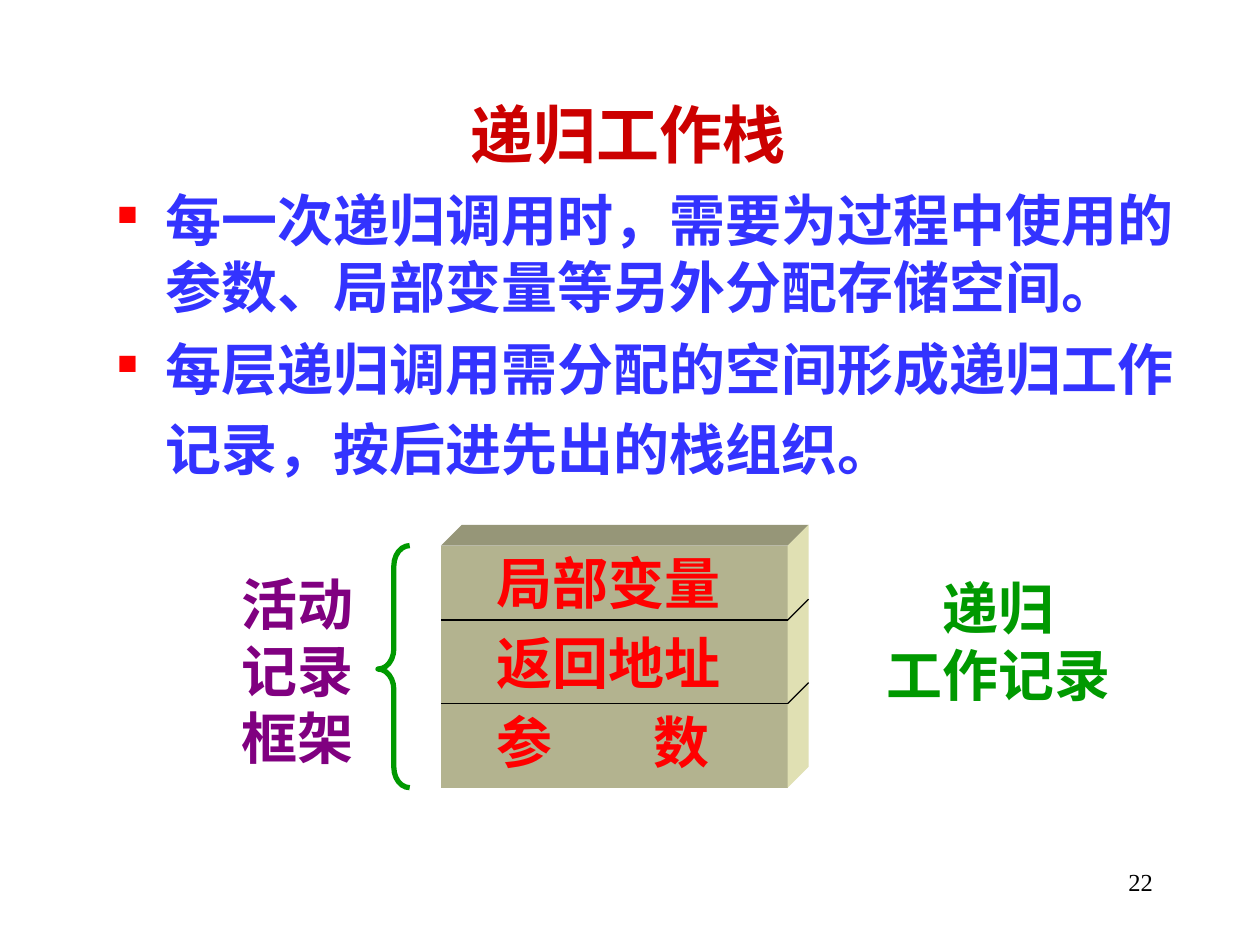
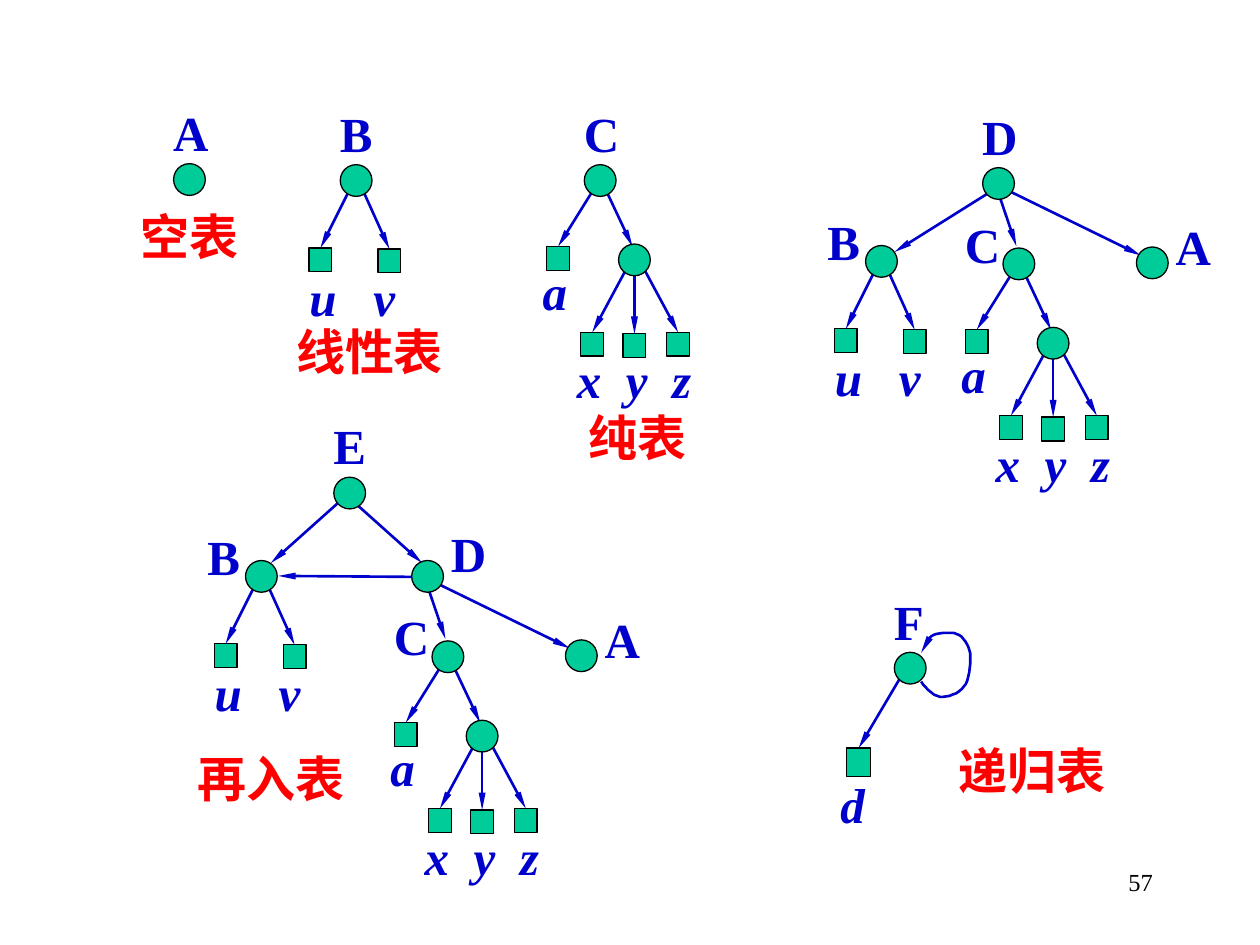
from lxml import etree
from pptx import Presentation
from pptx.dml.color import RGBColor
from pptx.enum.shapes import MSO_CONNECTOR, MSO_SHAPE
from pptx.enum.text import MSO_ANCHOR, PP_ALIGN
from pptx.oxml.ns import qn
from pptx.util import Cm, Pt

STRAIGHT = MSO_CONNECTOR.STRAIGHT
RECTANGLE, OVAL, LEFT_BRACE = MSO_SHAPE.RECTANGLE, MSO_SHAPE.OVAL, MSO_SHAPE.LEFT_BRACE
CENTER, RIGHT = PP_ALIGN.CENTER, PP_ALIGN.RIGHT
MIDDLE = MSO_ANCHOR.MIDDLE

rgb = RGBColor.from_string
FONT = "Times New Roman"
RED, BLUE, NAVY, GREEN, PURPLE = "FF0000", "3333FF", "0000CC", "009900", "800080"
TITLE_RED, MINT, BLACK = "CC0000", "00CC99", "000000"
FRONT, TOP, SIDE = "B3B38F", "969678", "E0E0B3"
PAGE_NUMBER = (18.21, 17.35, 5.28, 1.27)
UNITS_PER_CM = 100
FREEFORM_UNIT = Cm(1 / UNITS_PER_CM)


def write(shape, lines, color, size, tabs=(), layout={}, **style):
    frame = shape.text_frame
    frame.word_wrap = True
    for index, line in enumerate(lines):
        paragraph = frame.paragraphs[0] if index == 0 else frame.add_paragraph()
        if tabs:
            stops = etree.SubElement(paragraph._p.get_or_add_pPr(), qn("a:tabLst"))
            for stop in tabs:
                etree.SubElement(stops, qn("a:tab"), pos=str(Cm(stop)), algn="l")
        for key, value in layout.items():
            setattr(paragraph, key, value)
        if index == 0:
            paragraph.space_before = Pt(0)
        run = paragraph.add_run()
        run.text = line
        run.font.color.rgb = rgb(color)
        for key, value in {"name": FONT, "size": Pt(size), "bold": True, **style}.items():
            setattr(run.font, key, value)
    return frame


def dress(shape, line=None, width=0.75, fill=None, arrow=False):
    if fill:
        shape.fill.solid()
        shape.fill.fore_color.rgb = rgb(fill)
    if line:
        shape.line.color.rgb = rgb(line)
        shape.line.width = Pt(width)
    else:
        shape.line.fill.background()
    properties = shape._element.spPr
    if arrow:
        etree.SubElement(properties.find(qn("a:ln")), qn("a:tailEnd"),
                         type="triangle", w="sm", len="lg")
    etree.SubElement(properties, qn("a:effectLst"))


deck = Presentation()
deck.slide_width, deck.slide_height = Cm(25.4), Cm(19.05)
stack_slide = deck.slides.add_slide(deck.slide_layouts[5])
lists_slide = deck.slides.add_slide(deck.slide_layouts[6])
for slide, number in ((stack_slide, "22"), (lists_slide, "57")):
    box = slide.shapes.add_textbox(*map(Cm, PAGE_NUMBER))
    write(box, [number], BLACK, 14, layout={"alignment": RIGHT}, bold=False)

shapes = stack_slide.shapes
title = shapes.title
title_place = {"left": 8.51, "top": 1.73, "width": 8.28, "height": 1.9}
for key, value in title_place.items():
    setattr(title, key, Cm(value))
write(title, ["递归工作栈"], TITLE_RED, 36, layout={"alignment": CENTER}).vertical_anchor = MIDDLE

points = write(shapes.add_textbox(*map(Cm, (2.11, 3.61, 22.58, 14.4))),
               ["每一次递归调用时，需要为过程中使用的参数、局部变量等另外分配存储空间。",
                "每层递归调用需分配的空间形成递归工作记录，按后进先出的栈组织。"], BLUE, 32)
for paragraph in points.paragraphs:
    properties = paragraph._p.get_or_add_pPr()
    properties.set("marL", str(Cm(0.97)))
    properties.set("indent", str(-Cm(0.97)))
    bullet_color = etree.SubElement(properties, qn("a:buClr"))
    etree.SubElement(bullet_color, qn("a:srgbClr"), val=RED)
    etree.SubElement(properties, qn("a:buSzPct"), val="50000")
    etree.SubElement(properties, qn("a:buChar"), char="■")
points.paragraphs[1].line_spacing = 1.2
points.paragraphs[1].space_before = Pt(0.5)

left, right, top, bottom, depth = 8.89, 15.88, 11, 15.88, 0.42
block_faces = [
    (FRONT, [(left, top), (right, top), (right, bottom), (left, bottom)]),
    (TOP, [(left, top), (left + depth, top - depth), (right + depth, top - depth), (right, top)]),
    (SIDE, [(right, top), (right + depth, top - depth),
            (right + depth, bottom - depth), (right, bottom)]),
]
for color, corners in block_faces:
    corners = [(x * UNITS_PER_CM, y * UNITS_PER_CM) for x, y in corners]
    outline = shapes.build_freeform(*corners[0], scale=FREEFORM_UNIT)
    outline.add_line_segments(corners[1:], close=True)
    dress(outline.convert_to_shape(), fill=color)
for level in (12.5, 14.18):
    for start, end in (((left, level), (right, level)),
                       ((right, level), (right + depth, level - depth))):
        dress(shapes.add_connector(STRAIGHT, *map(Cm, start + end)), BLACK)

write(shapes.add_textbox(*map(Cm, (9.75, 10.8, 5.69, 5))),
      ["局部变量", "返回地址", "参\t数"], RED, 32, tabs=[3.17],
      layout={"line_spacing": 1.1, "space_before": Pt(3.2)})
brace = shapes.add_shape(LEFT_BRACE, *map(Cm, (7.62, top, 0.64, bottom - top)))
brace.adjustments[0], brace.adjustments[1] = 0.64, 0.51
brace.fill.background()
dress(brace, GREEN, 3)
write(shapes.add_textbox(*map(Cm, (4.62, 11.35, 3, 4.32))), ["活动记录框架"], PURPLE, 32)
write(shapes.add_textbox(*map(Cm, (16.97, 11.43, 6.32, 2.97))),
      ["递归", "工作记录"], GREEN, 32, layout={"alignment": CENTER})

shapes = lists_slide.shapes
ABOVE, ON_LEFT, ON_RIGHT = (-0.58, -1.68), (-1.34, -1.13), (0.22, -1.05)
UPPER_RIGHT = (0.22, -1.2)
DIAMETER = 0.64
SMALL, LARGE = (0.46, 0.48), (0.48, 0.58)

leaves = {
    "B": [(-0.11, -0.72, 1.36, SMALL), (0.11, 0.67, 1.38, SMALL)],
    "C": [(-0.11, -0.85, 1.33, SMALL)],
    "": [(-0.14, -0.85, 1.46, SMALL), (0, 0, 1.49, SMALL), (0.17, 0.88, 1.46, SMALL)],
    "F": [(-0.17, -1.04, 1.61, LARGE)],
}
leaf_names = {
    "B": ("u\tv", -1.19, 1.62, [1.29]),
    "C": ("a", -1.41, 1.51, []),
    "": ("x\ty\tz", -1.41, 1.69, [0.99, 1.92]),
    "F": ("d", -1.66, 2.02, []),
}
sublist_arrows = {
    "C": [(0.09, 0.14, 0.65, 1.33)],
    "D": [(0, 0.2, 0.36, 1.26), (0.19, 0.14, 2.87, 1.45)],
    "E": [(0.04, 0.14, 1.46, 1.41), (-0.17, 0.14, -1.59, 1.41)],
}
sublists = {
    "C": [("", 0.69, 1.6, None)],
    "D": [("C", 0.41, 1.62, ON_LEFT), ("A", 3.1, 1.6, ON_RIGHT)],
}
shared_arrows = [(19.96, 3.87, 18.03, 5.08), (8.45, 11.63, 5.61, 11.61)]
nodes = [
    ("A", 3.82, 3.62, ABOVE), ("B", 7.18, 3.64, ABOVE), ("C", 12.1, 3.64, ABOVE),
    ("D", 20.13, 3.7, ABOVE), ("B", 17.77, 5.27, ON_LEFT),
    ("E", 7.05, 9.94, ABOVE), ("B", 5.27, 11.62, ON_LEFT), ("D", 8.62, 11.62, UPPER_RIGHT),
    ("F", 18.35, 13.47, ABOVE),
]

for ends in shared_arrows:
    dress(shapes.add_connector(STRAIGHT, *map(Cm, ends)), NAVY, 1.5, arrow=True)
for name, x, y, label_shift in nodes:
    for child, dx, dy, child_shift in sublists.get(name, []):
        nodes.append((child, x + dx, y + dy, child_shift))
    for x1, y1, x2, y2 in sublist_arrows.get(name, []):
        arrow = shapes.add_connector(STRAIGHT, *map(Cm, (x + x1, y + y1, x + x2, y + y2)))
        dress(arrow, NAVY, 1.5, arrow=True)
    for start, dx, dy, (width, height) in leaves.get(name, []):
        leaf = shapes.add_shape(RECTANGLE, *map(Cm, (x + dx - width / 2, y + dy, width, height)))
        dress(leaf, BLACK, fill=MINT)
        arrow = shapes.add_connector(STRAIGHT, *map(Cm, (x + start, y + 0.14, x + dx, y + dy)))
        arrow.end_connect(leaf, 0)
        dress(arrow, NAVY, 1.5, arrow=True)
    corner = x - DIAMETER / 2, y - DIAMETER / 2
    dress(shapes.add_shape(OVAL, *map(Cm, corner + (DIAMETER, DIAMETER))), BLACK, fill=MINT)
    if name in leaf_names:
        letters, dx, dy, tabs = leaf_names[name]
        box = shapes.add_textbox(*map(Cm, (x + dx, y + dy, 1.1 + max(tabs, default=0) + 0.2, 1.45)))
        write(box, [letters], NAVY, 28, tabs=tabs, italic=True)
    if name:
        dx, dy = label_shift
        write(shapes.add_textbox(*map(Cm, (x + dx, y + dy, 1.22, 1.45))), [name], NAVY, 28)

for caption, x, y, width in (("空表", 2.59, 4.04, 2.72), ("线性表", 5.72, 6.35, 3.99),
                             ("再入表", 3.73, 14.96, 3.8), ("纯表", 11.61, 8.1, 2.92),
                             ("递归表", 19.08, 14.81, 3.86)):
    write(shapes.add_textbox(*map(Cm, (x, y, width, 1.45))), [caption], RED, 28)

loop_start = (18.57, 13.74)
loop_curves = [
    ((18.69, 13.89), (18.8, 14.02), (18.95, 14.05)),
    ((19.1, 14.05), (19.33, 14), (19.43, 13.84)),
    ((19.53, 13.72), (19.58, 13.39), (19.56, 13.23)),
    ((19.56, 13.06), (19.46, 12.88), (19.33, 12.8)),
    ((19.23, 12.73), (18.95, 12.75), (18.82, 12.8)),
    ((18.69, 12.85), (18.59, 13.11), (18.57, 13.16)),
]
steps = 8
loop_points = [loop_start]
for curve in loop_curves:
    controls = (loop_points[-1],) + curve
    for step in range(1, steps + 1):
        t = step / steps
        weights = ((1 - t) ** 3, 3 * t * (1 - t) ** 2, 3 * t ** 2 * (1 - t), t ** 3)
        loop_points.append(tuple(sum(w * p[axis] for w, p in zip(weights, controls))
                                 for axis in (0, 1)))
loop_points = [(x * UNITS_PER_CM, y * UNITS_PER_CM) for x, y in loop_points]
loop = shapes.build_freeform(*loop_points[0], scale=FREEFORM_UNIT)
loop.add_line_segments(loop_points[1:], close=False)
self_reference = loop.convert_to_shape()
self_reference.fill.background()
dress(self_reference, NAVY, 1.5, arrow=True)

deck.save("out.pptx")
